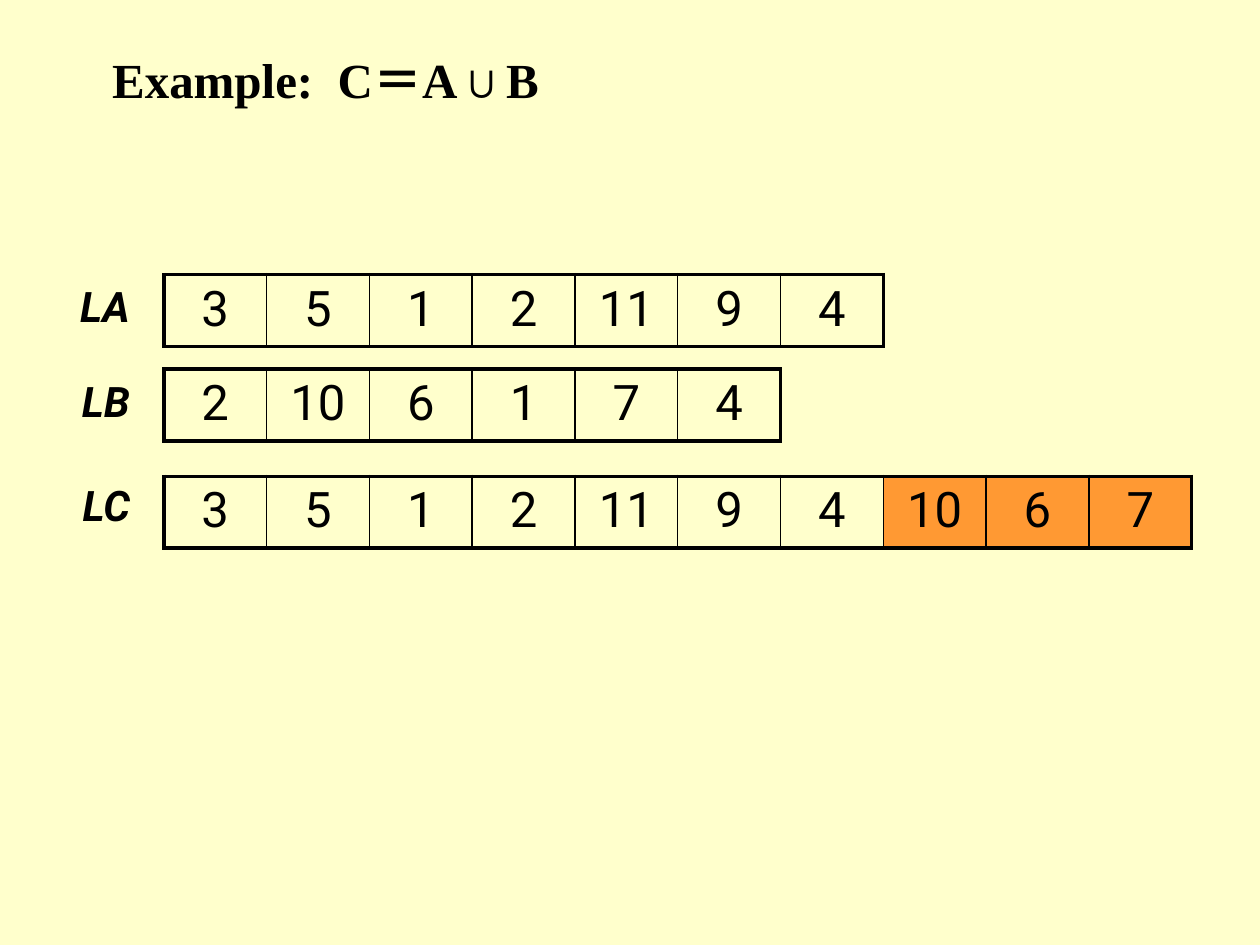
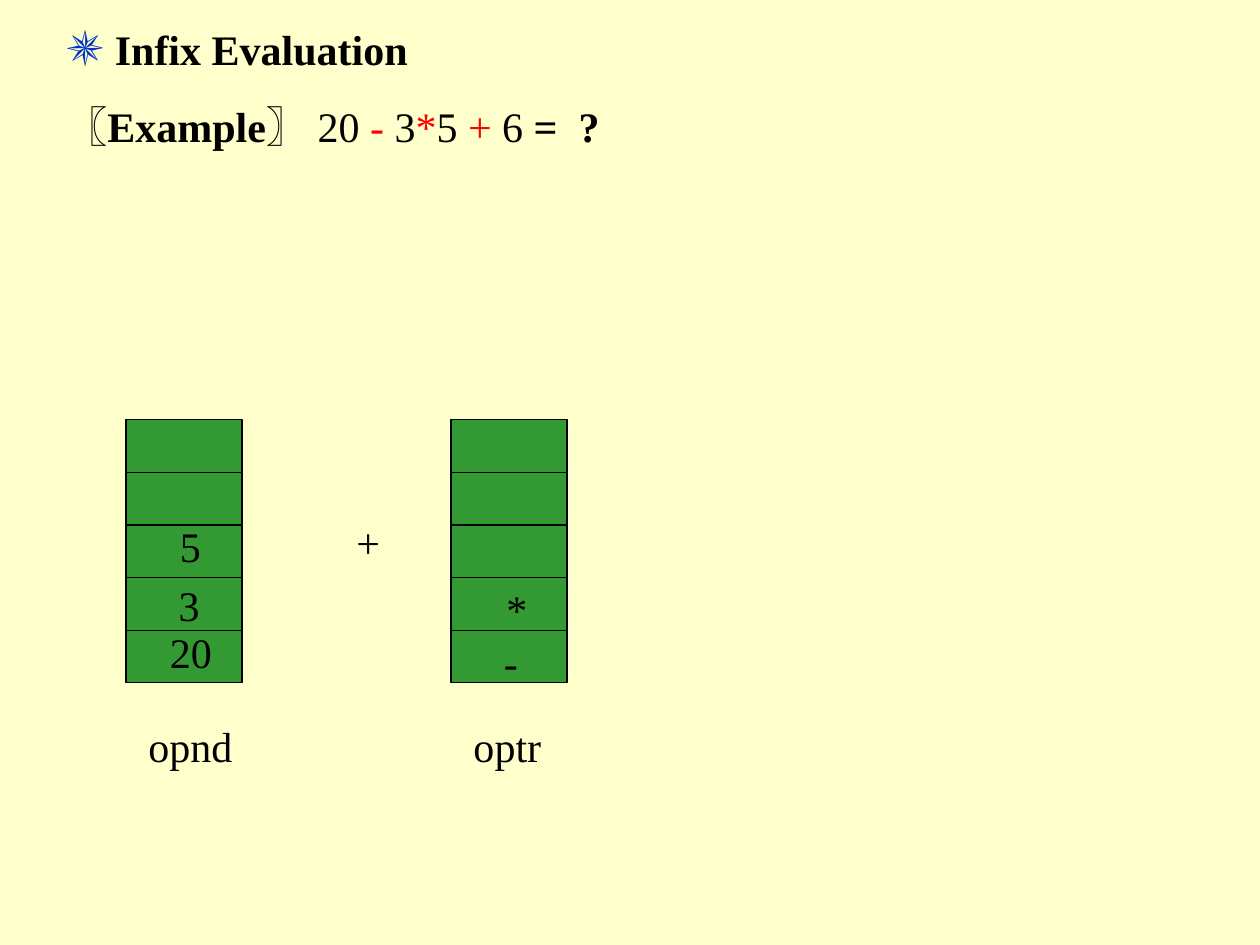
from dataclasses import dataclass

from lxml import etree
from pptx import Presentation
from pptx.dml.color import RGBColor
from pptx.enum import shapes, text
from pptx.oxml.ns import qn
from pptx.util import Inches, Pt


@dataclass(frozen=True)
class Theme:
    paper: str = "FFFFCC"
    ink: str = "000000"
    operator: str = "FF0000"
    star: str = "0033CC"
    added: str = "FF9933"
    stack: str = "339933"
    serif: str = "Times New Roman"
    sans: str = "Roboto"
    large: int = 28
    normal: int = 24
    outer_border: float = 2.25
    inner_border: float = 1
    stack_border: float = 0.75


THEME = Theme()

# Content: runs are (text, format) pairs
BOLD = {"bold": True}
OPERATOR = {"color": THEME.operator}

UNION_TITLE = [("Example:  C＝A∪B", {"bold": True, "size": THEME.large})]
LIST_A = [3, 5, 1, 2, 11, 9, 4]
LIST_B = [2, 10, 6, 1, 7, 4]
ADDED = [value for value in LIST_B if value not in LIST_A]
# label, label top, table top, kept values, added values
LISTS = [
    ("LA", 2.18, 2.18, LIST_A, []),
    ("LB", 2.93, 2.93, LIST_B, []),
    ("LC", 3.76, 3.78, LIST_A, ADDED),
]

INFIX_TITLE = [
    ("✵", {"size": THEME.large, "color": THEME.star}),
    (" Infix Evaluation", BOLD),
]
EXPRESSION = [
    ("〖Example〗 ", BOLD), ("20 ", {}), ("-", OPERATOR), (" 3", {}),
    ("*", OPERATOR), ("5 ", {}), ("+", OPERATOR), (" 6 ", {}), ("=  ?", BOLD),
]
# name, left edge, name width, items as (text, left, top, width)
STACKS = [
    ("opnd", 1, 0.87,
     [("20", 1.25, 4.92, 0.53), ("3", 1.32, 4.55, 0.37), ("5", 1.33, 4.08, 0.37)]),
    ("optr", 3.58, 0.74,
     [("-", 3.9, 5, 0.31), ("*", 3.92, 4.58, 0.37)]),
]
NEXT_OPERATOR = ("+", 2.73, 4.05, 0.39)

# Layout, in inches
LIST_LEFT, CELL_WIDTH, CELL_HEIGHT = 1.3, 0.816, 0.57
STACK_TOP, STACK_BOTTOM, STACK_WIDTH, STACK_LEVELS = 3.33, 5.42, 0.92, 5
LINE_HEIGHT = 0.5


def color(value):
    return RGBColor.from_string(value)


def write(paragraph, runs, font=THEME.serif):
    for words, style in runs:
        run = paragraph.add_run()
        run.text = words
        run.font.name = font
        run.font.size = Pt(style.get("size", THEME.normal))
        run.font.bold = style.get("bold", False)
        run.font.italic = style.get("italic", False)
        run.font.color.rgb = color(style.get("color", THEME.ink))


def add_text(slide, box, runs, font=THEME.serif, align=text.PP_ALIGN.LEFT, wrap=False):
    frame = slide.shapes.add_textbox(*map(Inches, box)).text_frame
    frame.word_wrap = wrap
    frame.paragraphs[0].alignment = align
    write(frame.paragraphs[0], runs, font)


def add_titled_slide(presentation, box, runs):
    slide = presentation.slides.add_slide(presentation.slide_layouts[5])
    title = slide.shapes.title
    title.left, title.top, title.width, title.height = map(Inches, box)
    frame = title.text_frame
    frame.auto_size = text.MSO_AUTO_SIZE.NONE
    frame.word_wrap = True
    frame.vertical_anchor = text.MSO_ANCHOR.MIDDLE
    frame.paragraphs[0].alignment = text.PP_ALIGN.LEFT
    write(frame.paragraphs[0], runs)
    return slide


def set_borders(cell, widths):
    """Widths in points, in the order left, right, top, bottom."""
    properties = cell._tc.get_or_add_tcPr()
    for index, (side, width) in enumerate(zip("LRTB", widths)):
        line = etree.Element(qn(f"a:ln{side}"), w=str(Pt(width)))
        fill = etree.SubElement(line, qn("a:solidFill"))
        etree.SubElement(fill, qn("a:srgbClr"), val=THEME.ink)
        properties.insert(index, line)


def add_list(slide, top, kept, added):
    values = kept + added
    count = len(values)
    table = slide.shapes.add_table(
        1, count, Inches(LIST_LEFT), Inches(top),
        Inches(CELL_WIDTH * count), Inches(CELL_HEIGHT)).table
    table.first_row = table.horz_banding = False
    for index, value in enumerate(values):
        cell = table.cell(0, index)
        if index < len(kept):
            cell.fill.background()
        else:
            cell.fill.solid()
            cell.fill.fore_color.rgb = color(THEME.added)
        outer, inner = THEME.outer_border, THEME.inner_border
        set_borders(cell, (outer if index == 0 else inner,
                           outer if index == count - 1 else inner, outer, outer))
        paragraph = cell.text_frame.paragraphs[0]
        paragraph.alignment = text.PP_ALIGN.CENTER
        write(paragraph, [(str(value), {"size": THEME.large})], THEME.sans)


def add_stack(slide, name, left, name_width, items):
    level_height = (STACK_BOTTOM - STACK_TOP) / STACK_LEVELS
    for level in range(STACK_LEVELS):
        slot = slide.shapes.add_shape(
            shapes.MSO_SHAPE.RECTANGLE, Inches(left),
            Inches(STACK_TOP + level * level_height),
            Inches(STACK_WIDTH), Inches(level_height))
        slot.shadow.inherit = False
        slot.fill.solid()
        slot.fill.fore_color.rgb = color(THEME.stack)
        slot.line.color.rgb = color(THEME.ink)
        slot.line.width = Pt(THEME.stack_border)
    add_text(slide, (left + 0.08, 5.67, name_width, LINE_HEIGHT), [(name, {})])
    for item in items:
        add_symbol(slide, *item)


def add_symbol(slide, symbol, left, top, width):
    add_text(slide, (left, top, width, LINE_HEIGHT), [(symbol, {})])


def main():
    presentation = Presentation()
    presentation.slide_width, presentation.slide_height = Inches(10), Inches(7.5)
    background = presentation.slide_master.background.fill
    background.solid()
    background.fore_color.rgb = color(THEME.paper)

    # Union of two lists
    slide = add_titled_slide(presentation, (0.79, 0.34, 8.5, 0.57), UNION_TITLE)
    for label, label_top, table_top, kept, added in LISTS:
        add_list(slide, table_top, kept, added)
        add_text(slide, (0.3, label_top, 0.83, LINE_HEIGHT),
                 [(label, {"bold": True, "italic": True})],
                 THEME.sans, text.PP_ALIGN.RIGHT, wrap=True)

    # Infix evaluation with two stacks
    slide = add_titled_slide(presentation, (0.42, 0.08, 3.5, 0.57), INFIX_TITLE)
    add_text(slide, (0.42, 0.75, 5.75, LINE_HEIGHT), EXPRESSION, wrap=True)
    for stack in STACKS:
        add_stack(slide, *stack)
    add_symbol(slide, *NEXT_OPERATOR)

    presentation.save("out.pptx")


if __name__ == "__main__":
    main()
